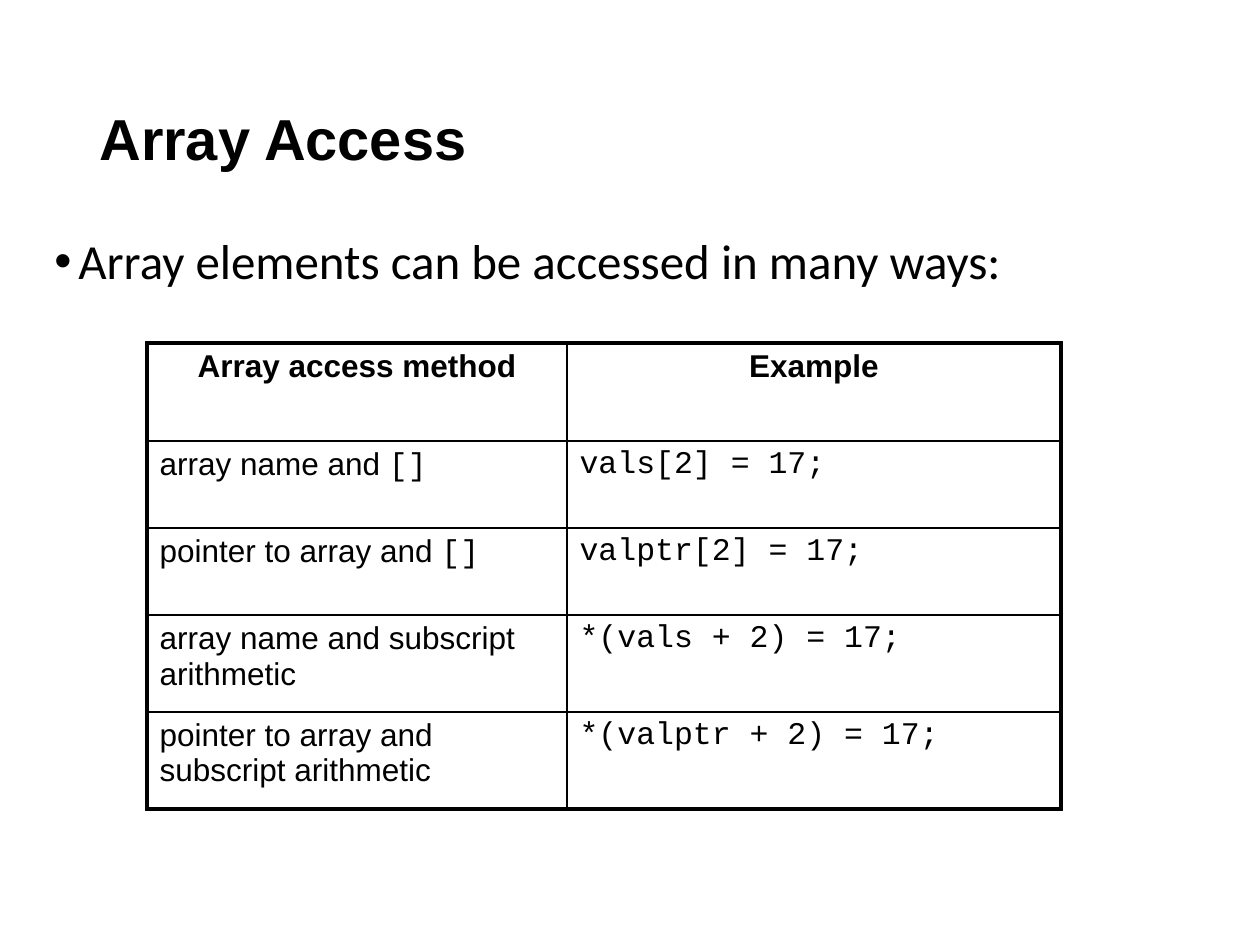
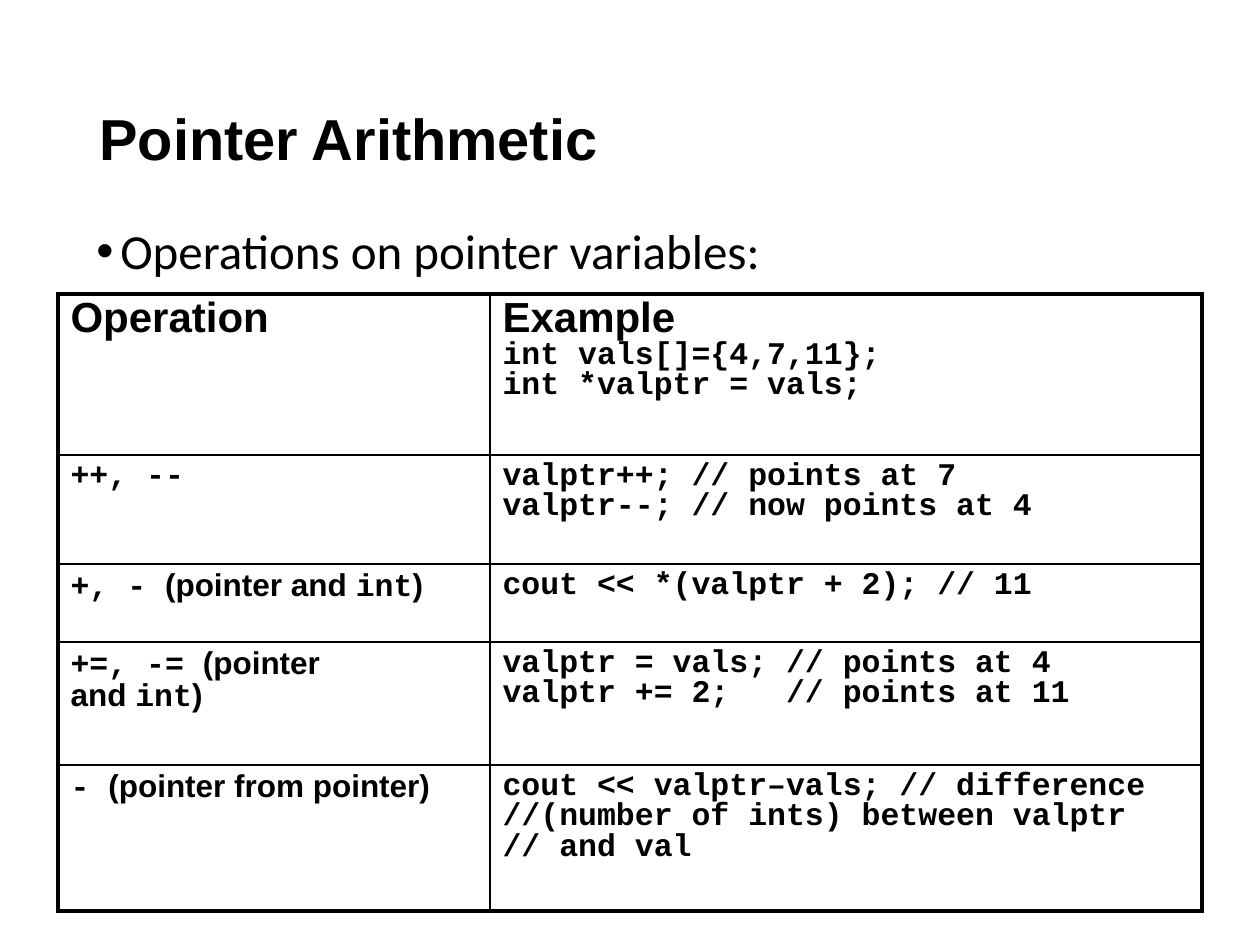
from lxml.etree import SubElement as Sub
from pptx import Presentation
from pptx.dml.color import RGBColor
from pptx.enum.text import MSO_ANCHOR as Anchor, PP_ALIGN as Align
from pptx.oxml.ns import qn
from pptx.util import Emu, Pt

BLACK = RGBColor(0, 0, 0)
SANS, MONO, BODY = "Arial", "Courier New", "Calibri"
THIN, THICK = Pt(1), Pt(2.25)


def px(n):
    return Emu(round(n * 914400 / 126))


def write(para, text, size, bold, gap, font=SANS):
    parts = text.split("`")
    code = len(parts) == 3 and not parts[0] and not parts[2]
    para.line_spacing = gap
    para.font.name = MONO if code else font
    para.font.size = Pt(size)
    para.font.bold = bold
    para.font.color.rgb = BLACK
    for i, part in enumerate(parts):
        if part:
            run = para.add_run()
            run.text = part
            if i % 2 and not code:
                run.font.name = MONO


SLIDES = [
    dict(
        title="Array Access",
        point="Array elements can be accessed in many ways:",
        body=(42, 231, 1144, 608),
        spot=(147, 343), cols=(420, 494), rows=(98, 87, 87, 97, 97),
        head=18, align=Align.CENTER, bold=False, gap=1.0,
        cells=[
            ("Array access method", "Example"),
            ("array name and `[]`", "`vals[2] = 17;`"),
            ("pointer to array and `[]`", "`valptr[2] = 17;`"),
            ("array name and subscript arithmetic", "`*(vals + 2) = 17;`"),
            ("pointer to array and subscript arithmetic", "`*(valptr + 2) = 17;`"),
        ],
    ),
    dict(
        title="Pointer Arithmetic",
        point="Operations on pointer variables:",
        body=(84, 221, 1081, 515),
        spot=(58, 294), cols=(432, 712), rows=(161, 109, 78, 123, 146),
        head=24, align=Align.LEFT, bold=True, gap=0.85,
        cells=[
            ("Operation", "Example\n`int vals[]={4,7,11};`\n`int *valptr = vals;`"),
            ("`++, --`", "`valptr++; // points at 7`\n`valptr--; // now points at 4`"),
            ("`+, - `(pointer and `int`)", "`cout << *(valptr + 2); // 11`"),
            ("`+=, -= `(pointer\nand `int`)",
             "`valptr = vals; // points at 4`\n`valptr += 2;   // points at 11`"),
            ("`- `(pointer from pointer)",
             "`cout << valptr–vals; // difference`\n"
             "`//(number of ints) between valptr`\n`// and val`"),
        ],
    ),
]

prs = Presentation()
prs.slide_width, prs.slide_height = px(1260), px(945)

for page in SLIDES:
    slide = prs.slides.add_slide(prs.slide_layouts[6])
    title = slide.shapes.add_textbox(px(87), px(50), px(1086), px(183)).text_frame
    title.word_wrap = True
    title.vertical_anchor = Anchor.MIDDLE
    write(title.paragraphs[0], page["title"], 33, True, 0.9)

    body = slide.shapes.add_textbox(*map(px, page["body"])).text_frame
    body.word_wrap = True
    point = body.paragraphs[0]
    props = point._p.get_or_add_pPr()
    props.set("marL", str(px(24)))
    props.set("indent", str(-px(24)))
    Sub(props, qn("a:buFont"), typeface=SANS)
    Sub(props, qn("a:buChar"), char="•")
    write(point, page["point"], 28, False, 0.9, BODY)

    cols, rows = page["cols"], page["rows"]
    area = map(px, (*page["spot"], sum(cols), sum(rows)))
    table = slide.shapes.add_table(len(rows), len(cols), *area).table
    table.first_row = table.horz_banding = False
    for col, width in zip(table.columns, cols):
        col.width = px(width)
    for row, height in zip(table.rows, rows):
        row.height = px(height)

    for r, line in enumerate(page["cells"]):
        for c, text in enumerate(line):
            cell = table.cell(r, c)
            edges = {"L": c == 0, "R": c == len(cols) - 1,
                     "T": r == 0, "B": r == len(rows) - 1}
            props = cell._tc.get_or_add_tcPr()
            for side, outer in edges.items():
                rule = Sub(props, qn(f"a:ln{side}"), w=str(THICK if outer else THIN))
                fill = Sub(rule, qn("a:solidFill"))
                Sub(fill, qn("a:srgbClr"), val=str(BLACK))
            cell.fill.background()
            frame = cell.text_frame
            for i, part in enumerate(text.split("\n")):
                para = frame.add_paragraph() if i else frame.paragraphs[0]
                top = r == 0 and i == 0
                para.alignment = page["align"] if top else Align.LEFT
                write(para, part, page["head"] if top else 18,
                      page["bold"] or top, page["gap"])

prs.save("out.pptx")
